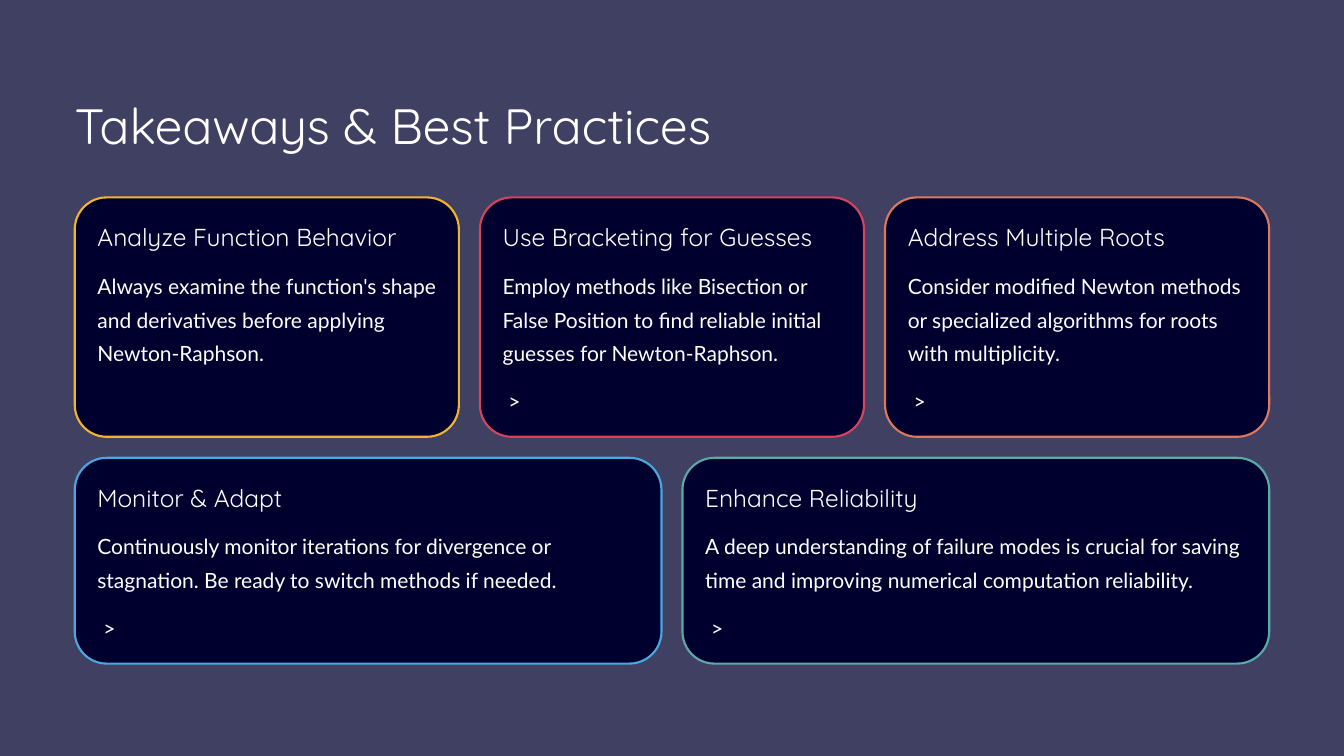
from dataclasses import dataclass

from pptx import Presentation
from pptx.dml.color import RGBColor
from pptx.enum.shapes import MSO_SHAPE
from pptx.util import Inches, Pt

ROUNDED = MSO_SHAPE.ROUNDED_RECTANGLE


@dataclass(frozen=True)
class Style:
    font: str
    size: float
    leading: float


@dataclass(frozen=True)
class Theme:
    background: str = "404062"
    card: str = "00002E"
    text: str = "FFFFFF"
    yellow: str = "F2B42D"
    red: str = "D7425E"
    orange: str = "DD785E"
    blue: str = "48A8E2"
    teal: str = "59ABA9"
    border: float = 1.8
    title: Style = Style("Quicksand", 42.5, 53.5)
    heading: Style = Style("Quicksand", 21, 26.5)
    body: Style = Style("Lato", 18, 29)


THEME = Theme()
LEFT, WIDTH, GAP = 0.89, 14.22, 0.25
RADIUS, PAD = 0.38, 0.27

TOP_CARDS = [
    ("Analyze Function Behavior",
     "Always examine the function's shape and derivatives before "
     "applying Newton-Raphson.", THEME.yellow, False),
    ("Use Bracketing for Guesses",
     "Employ methods like Bisection or False Position to find reliable "
     "initial guesses for Newton-Raphson.", THEME.red, True),
    ("Address Multiple Roots",
     "Consider modified Newton methods or specialized algorithms for "
     "roots with multiplicity.", THEME.orange, True),
]
BOTTOM_CARDS = [
    ("Monitor & Adapt",
     "Continuously monitor iterations for divergence or stagnation. "
     "Be ready to switch methods if needed.", THEME.blue, True),
    ("Enhance Reliability",
     "A deep understanding of failure modes is crucial for saving time "
     "and improving numerical computation reliability.", THEME.teal, True),
]


def add_text(slide, box, text, style, indent=0):
    tf = slide.shapes.add_textbox(*map(Inches, box)).text_frame
    tf.margin_left = Inches(indent)
    tf.margin_top = tf.margin_right = tf.margin_bottom = 0
    tf.word_wrap = True
    p = tf.paragraphs[0]
    p.line_spacing = Pt(style.leading)
    r = p.add_run()
    r.text = text
    r.font.name = style.font
    r.font.size = Pt(style.size)
    r.font.color.rgb = RGBColor.from_string(THEME.text)


def add_card(slide, box, heading, body, color, has_mark):
    x, y, w, h = box
    sp = slide.shapes.add_shape(ROUNDED, *map(Inches, box))
    sp.adjustments[0] = RADIUS / h
    sp.shadow.inherit = False
    sp.fill.solid()
    sp.fill.fore_color.rgb = RGBColor.from_string(THEME.card)
    sp.line.color.rgb = RGBColor.from_string(color)
    sp.line.width = Pt(THEME.border)

    text_x, text_w = x + PAD, w - 2 * PAD
    body_y, mark_y = y + 0.8, y + h - 0.68
    add_text(slide, (text_x, y + 0.28, text_w, 0.37), heading, THEME.heading)
    add_text(slide, (text_x, body_y, text_w, mark_y - body_y - 0.16),
             body, THEME.body)
    if has_mark:
        add_text(slide, (text_x, mark_y, text_w, 0.4), ">", THEME.body,
                 indent=0.07)


def add_card_row(slide, box, cards):
    x, y, w, h = box
    card_w = (w - GAP * (len(cards) - 1)) / len(cards)
    for i, card in enumerate(cards):
        add_card(slide, (x + i * (card_w + GAP), y, card_w, h), *card)


def add_takeaways_slide(prs):
    slide = prs.slides.add_slide(prs.slide_layouts[6])
    fill = slide.background.fill
    fill.solid()
    fill.fore_color.rgb = RGBColor.from_string(THEME.background)
    add_text(slide, (LEFT, 1.1, 8, 0.74), "Takeaways & Best Practices",
             THEME.title)
    add_card_row(slide, (LEFT, 2.35, WIDTH, 2.85), TOP_CARDS)
    add_card_row(slide, (LEFT, 5.45, WIDTH, 2.45), BOTTOM_CARDS)


def main():
    prs = Presentation()
    prs.slide_width = Inches(16)
    prs.slide_height = Inches(9)
    add_takeaways_slide(prs)
    prs.save("out.pptx")


if __name__ == "__main__":
    main()
